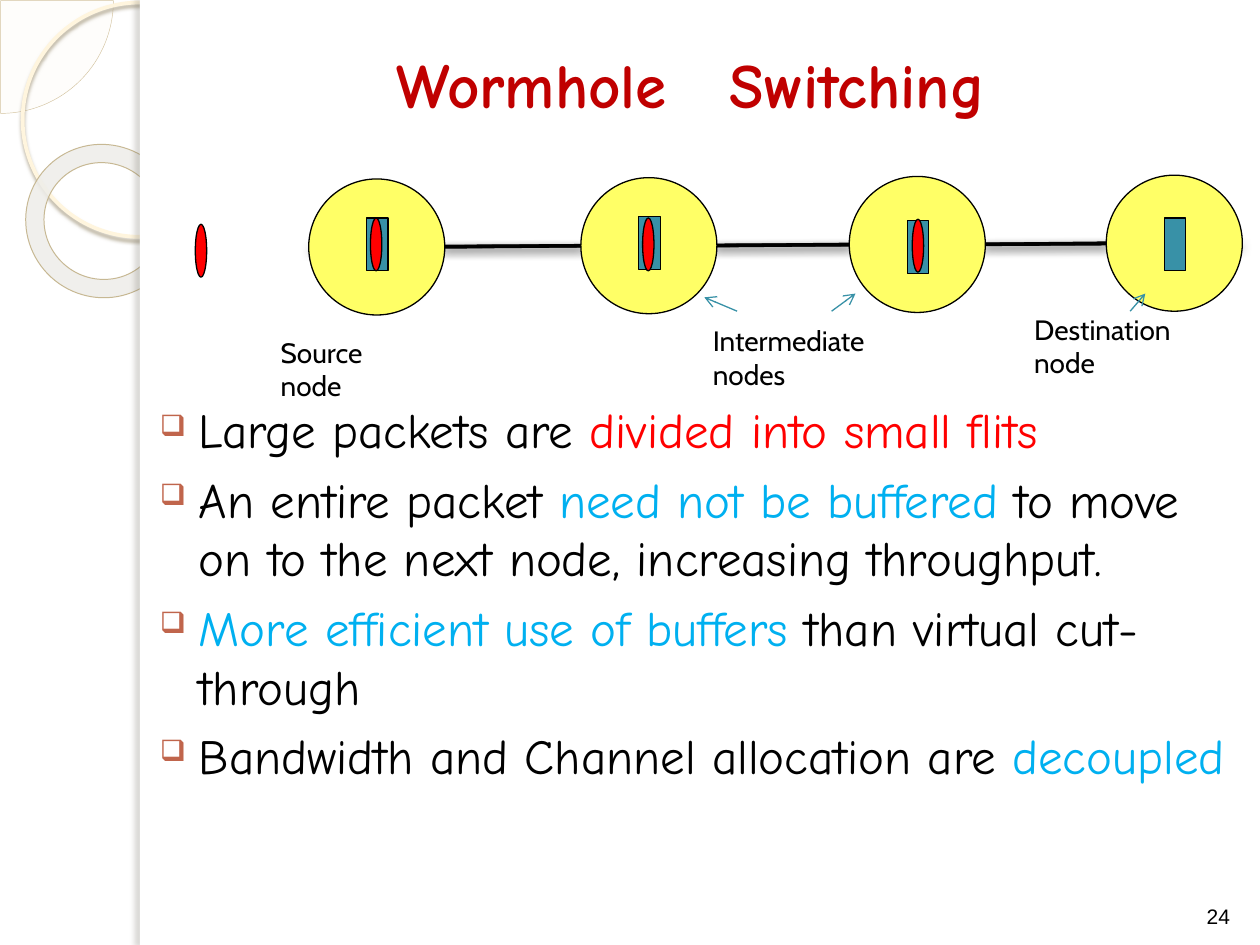
from lxml import etree
from pptx import Presentation
from pptx import util as u
from pptx.dml.color import RGBColor
from pptx.enum import shapes, text
from pptx.oxml import ns

CELL = u.Inches(0.1)
COLUMNS, ROWS = 100, 75

BLACK = RGBColor(0x00, 0x00, 0x00)
WHITE = RGBColor(0xFF, 0xFF, 0xFF)
RED = RGBColor(0xFF, 0x00, 0x00)
DARK_RED = RGBColor(0xC0, 0x00, 0x00)
SKY = RGBColor(0x00, 0xB0, 0xF0)
TEAL = RGBColor(0x38, 0x91, 0xA7)
YELLOW = RGBColor(0xFF, 0xFF, 0x66)
RUST = RGBColor(0xC0, 0x65, 0x4C)
CREAM = RGBColor(0xFE, 0xFA, 0xF4)
IVORY = RGBColor(0xFF, 0xF5, 0xDE)
PEARL = RGBColor(0xEE, 0xED, 0xE9)
SAND = RGBColor(0xD3, 0xC3, 0x9F)
TAN = RGBColor(0xC7, 0xB8, 0x93)
TAUPE = RGBColor(0xB0, 0xA6, 0x8F)
UMBER = RGBColor(0x73, 0x6F, 0x63)

NODE_SIZE = 10.8
NODE_COLUMNS = [24.5, 46.1, 67.4, 87.8]
NODE_ROWS = [14.2 - 0.1 * i for i in range(4)]
BUFFER_ROWS = [17.3, 17.2, 17.5, 17.3]
FLIT_SPOTS = [(15.5, 17.8), (29.4, 17.3), (51, 17.3), (72.4, 17.4)]

LABELS = [
    ("Source node", (21.3, 26.1, 13, 6.2)),
    ("Intermediate nodes", (55.6, 25.2, 19, 6.2)),
    ("Destination node", (81.1, 24.3, 17, 6.2)),
]
POINTERS = [
    ((58.5, 24.7), (55.9, 23.6)),
    ((66, 24.7), (67.9, 23.3)),
    ((89.7, 24.7), (90.9, 23.3)),
]
POINTS = [
    [("Large packets are ", BLACK), ("divided into small flits", RED)],
    [("An entire packet ", BLACK), ("need not be buffered ", SKY),
     ("to move on to the next node, increasing throughput.", BLACK)],
    [("More efficient use of buffers ", SKY), ("than virtual cut-through", BLACK)],
    [("Bandwidth and Channel allocation are ", BLACK), ("decoupled", SKY)],
]


def cells(*lengths):
    return [round(length * CELL) for length in lengths]


def add_child(parent, tag, **attributes):
    child = etree.SubElement(parent, ns.qn(tag))
    for key, value in attributes.items():
        child.set(key, str(value))
    return child


def add_shadow(properties, color, alpha, blur, distance, angle):
    effects = add_child(properties, "a:effectLst")
    shadow = add_child(effects, "a:outerShdw", blurRad=u.Pt(blur), dist=u.Pt(distance),
                       dir=angle * 60000, algn="ctr", rotWithShape=0)
    add_child(add_child(shadow, "a:srgbClr", val=color), "a:alpha", val=alpha * 1000)


def add_figure(slide, kind, spot, fill=None, line=None, width=0.75, shadow=None, alpha=None):
    figure = slide.shapes.add_shape(kind, *cells(*spot))
    if fill is None:
        figure.fill.background()
    else:
        figure.fill.solid()
        figure.fill.fore_color.rgb = fill
    if alpha is not None:
        color = next(figure.element.spPr.iter(ns.qn("a:srgbClr")))
        add_child(color, "a:alpha", val=alpha * 1000)
    if line is None:
        figure.line.fill.background()
    else:
        figure.line.color.rgb = line
        figure.line.width = u.Pt(width)
    if shadow:
        add_shadow(figure.element.spPr, *shadow)
    else:
        figure.shadow.inherit = False
    return figure


def add_line(slide, start, end, color, width, arrow=False, shadow=None):
    line = slide.shapes.add_connector(shapes.MSO_CONNECTOR.STRAIGHT, *cells(*start, *end))
    line.line.color.rgb = color
    line.line.width = u.Pt(width)
    properties = line.element.spPr
    if arrow:
        add_child(properties.find(ns.qn("a:ln")), "a:tailEnd", type="arrow")
    if shadow:
        add_shadow(properties, *shadow)
    else:
        add_child(properties, "a:effectLst")


def write(paragraph, words, size=16, font="Cabin", color=BLACK, bold=False, align=None):
    run = paragraph.add_run()
    run.text = words
    run.font.size = u.Pt(size)
    run.font.name = font
    run.font.bold = bold
    run.font.color.rgb = color
    if align is not None:
        paragraph.alignment = align


def add_frame(slide, spot, anchor=text.MSO_ANCHOR.TOP):
    frame = slide.shapes.add_textbox(*cells(*spot)).text_frame
    frame.word_wrap = True
    frame.vertical_anchor = anchor
    return frame


def add_backdrop(slide):
    kind = shapes.MSO_SHAPE
    quarter = add_figure(slide, kind.PIE, (-8.9, -8.9, 17.9, 17.9), CREAM, SAND, 0.25, alpha=33)
    quarter.adjustments[0] = 0
    quarter.adjustments[1] = 54
    add_figure(slide, kind.OVAL, (1.8, 0.2, 18.6, 18.6), None, IVORY, 2.15,
               shadow=(TAUPE, 85, 2, 2, 90))
    ring = add_figure(slide, kind.DONUT, (2, 11.5, 12.3, 12.1), PEARL, TAN, 0.58, alpha=85)
    ring.adjustments[0] = 0.12
    ring.rotation = 38.6
    add_figure(slide, kind.RECTANGLE, (11.1, 0, COLUMNS - 11.1, ROWS), WHITE)
    add_figure(slide, kind.RECTANGLE, (11.1, 0, 0.8, ROWS), WHITE,
               shadow=(UMBER, 25, 3, 3, 180))


def add_title(slide):
    title = slide.shapes.title
    title.left, title.top, title.width, title.height = cells(12.9, 2.5, 83.8, 8.3)
    title.element.getparent().append(title.element)
    title.text_frame.vertical_anchor = text.MSO_ANCHOR.MIDDLE
    write(title.text_frame.paragraphs[0], "Wormhole　Switching", size=36, font="Comic Neue",
          color=DARK_RED, bold=True, align=text.PP_ALIGN.CENTER)


def add_network(slide):
    kind = shapes.MSO_SHAPE
    nodes = list(zip(NODE_COLUMNS, NODE_ROWS))
    lefts = [(x, y + NODE_SIZE / 2) for x, y in nodes]
    rights = [(x + NODE_SIZE, y) for x, y in lefts]
    links = [(lefts[0], rights[-1]), *zip(rights, lefts[1:])]
    for start, end in links:
        add_line(slide, start, end, BLACK, 2, shadow=(BLACK, 43, 5, 2, 90))
    for (column, row), buffer_row in zip(nodes, BUFFER_ROWS):
        add_figure(slide, kind.OVAL, (column, row, NODE_SIZE, NODE_SIZE), YELLOW, BLACK)
        add_figure(slide, kind.RECTANGLE, (column + 4.6, buffer_row, 1.7, 4.2), TEAL, BLACK)
    for column, row in FLIT_SPOTS:
        add_figure(slide, kind.OVAL, (column, row, 0.9, 4.2), RED, BLACK)
    for words, spot in LABELS:
        write(add_frame(slide, spot).paragraphs[0], words)
    for start, end in POINTERS:
        add_line(slide, start, end, TEAL, 0.75, arrow=True)


def add_bullet(paragraph):
    properties = paragraph._p.get_or_add_pPr()
    properties.set("marL", str(u.Inches(0.4)))
    properties.set("indent", str(u.Inches(-0.31)))
    add_child(add_child(properties, "a:buClr"), "a:srgbClr", val=RUST)
    add_child(properties, "a:buSzPct", val=60000)
    add_child(properties, "a:buChar", char="❑")


def add_points(slide):
    frame = add_frame(slide, (10.8, 28.9, 87.8, 41.7))
    for index, point in enumerate(POINTS):
        paragraph = frame.add_paragraph() if index else frame.paragraphs[0]
        add_bullet(paragraph)
        if index:
            paragraph.space_before = u.Pt(6)
        else:
            paragraph.line_spacing = 1.5
        for words, color in point:
            write(paragraph, words, size=28, font="Comic Neue", color=color)


def main():
    deck = Presentation()
    deck.slide_width, deck.slide_height = cells(COLUMNS, ROWS)
    slide = deck.slides.add_slide(deck.slide_layouts[5])
    add_backdrop(slide)
    add_title(slide)
    add_network(slide)
    add_points(slide)
    number = add_frame(slide, (94.2, 69, 5, 5.2), text.MSO_ANCHOR.BOTTOM)
    write(number.paragraphs[0], "24", size=12, font="Arial", align=text.PP_ALIGN.CENTER)
    deck.save("out.pptx")


if __name__ == "__main__":
    main()
